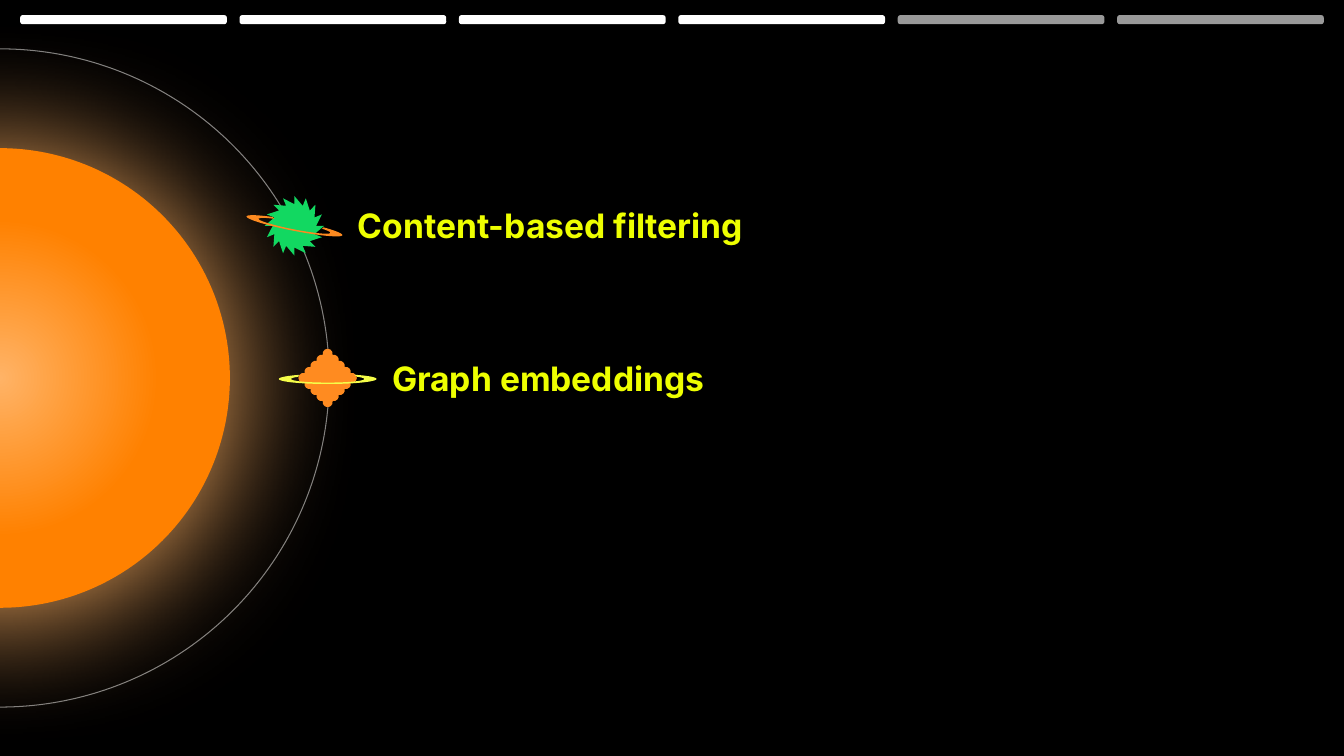
from dataclasses import dataclass
from math import cos, radians, sin, tan

from pptx import Presentation
from pptx.dml.color import RGBColor
from pptx.enum.shapes import MSO_SHAPE
from pptx.enum.text import MSO_ANCHOR, MSO_AUTO_SIZE
from pptx.oxml import parse_xml
from pptx.oxml.ns import nsdecls
from pptx.util import Inches, Pt

OVAL = MSO_SHAPE.OVAL
ROUNDED = MSO_SHAPE.ROUNDED_RECTANGLE
MIDDLE = MSO_ANCHOR.MIDDLE
GROW = MSO_AUTO_SIZE.SHAPE_TO_FIT_TEXT

SLIDE_W, SLIDE_H = 13.33, 7.5
SUN_Y = 3.75
BAR_COUNT, BARS_DONE = 6, 4
BAR_W, BAR_H, BAR_TOP, BAR_MARGIN = 2.05, 0.09, 0.15, 0.2
LABEL_FORMAT = {"size": Pt(24), "name": "Inter", "bold": True}

Point = tuple[float, float]
Segment = list[Point]


@dataclass
class Ring:
    x: float
    y: float
    outer_gap: Point
    inner_gap: Point
    color: str


@dataclass
class Planet:
    outline: list[Segment]
    color: str
    ring: Ring
    tilt: float


@dataclass
class Label:
    text: str
    left: float
    top: float


def rgb(value: str) -> RGBColor:
    return RGBColor.from_string(value)


def arc(x: float, y: float, rx: float, ry: float,
        start: float, end: float, count: int) -> list[Segment]:
    step = radians(end - start) / count
    pull = 4 / 3 * tan(step / 4)
    segments = [[(x + rx * cos(radians(start)), y + ry * sin(radians(start)))]]
    for i in range(count):
        a = radians(start) + i * step
        b = a + step
        segments.append([
            (x + rx * (cos(a) - pull * sin(a)), y + ry * (sin(a) + pull * cos(a))),
            (x + rx * (cos(b) + pull * sin(b)), y + ry * (sin(b) - pull * cos(b))),
            (x + rx * cos(b), y + ry * sin(b))])
    return segments


def spiky_outline(x: float, y: float, tilt: float) -> list[Segment]:
    angles = [radians(-90 - tilt - 22.5 * i) for i in range(16)]
    return [[(x + radius * cos(a), y + radius * sin(a))]
            for a in angles for radius in (0.295, 0.215)]


def scalloped_outline(x: float, y: float) -> list[Segment]:
    step, radius, overlap = 0.06, 0.05, 12.8
    segments = []
    for side in range(4):
        turn = 90 * side
        c, d = cos(radians(turn)), sin(radians(turn))
        for i in range(4):
            dx, dy = i * step, (i - 4) * step
            start = -(90 if i else 180) - overlap
            scallop = arc(x + dx * c - dy * d, y + dx * d + dy * c, radius, radius,
                          turn + start, turn + overlap, 2 if i else 3)
            segments += scallop[1:] if segments else scallop
    return segments


def ring_outline(ring: Ring) -> list[Segment]:
    (out_right, out_left), (in_right, in_left) = ring.outer_gap, ring.inner_gap
    return (arc(ring.x, ring.y, 0.485, 0.05, -out_right, 180 + out_left, 8)
            + arc(ring.x, ring.y, 0.365, 0.036, 180 + in_left, -in_right, 8))


def paint(sp, color: str) -> None:
    sp.shadow.inherit = False
    sp.fill.solid()
    sp.fill.fore_color.rgb = rgb(color)
    sp.line.fill.background()


def add_outline(shapes, segments: list[Segment], color: str, tilt: float) -> None:
    vertices = [(Inches(x), Inches(y)) for segment in segments for x, y in segment]
    builder = shapes.build_freeform(*vertices[0])
    builder.add_line_segments(vertices[1:], close=True)
    sp = builder.convert_to_shape()
    lines = iter(sp._element.findall(".//{*}lnTo"))
    for segment in segments[1:]:
        first, *others = [next(lines) for _ in segment]
        if others:
            curve = parse_xml(f'<a:cubicBezTo {nsdecls("a")}/>')
            first.addprevious(curve)
            for line in (first, *others):
                curve.append(line[0])
                line.getparent().remove(line)
    sp.rotation = tilt
    paint(sp, color)


def add_planet(s, planet: Planet) -> None:
    group = s.shapes.add_group_shape()
    add_outline(group.shapes, planet.outline, planet.color, planet.tilt)
    add_outline(group.shapes, ring_outline(planet.ring), planet.ring.color, planet.tilt)


def add_circle(s, radius: float):
    sp = s.shapes.add_shape(OVAL, Inches(-radius), Inches(SUN_Y - radius),
                            Inches(2 * radius), Inches(2 * radius))
    sp.shadow.inherit = False
    return sp


def add_orbit(s) -> None:
    sp = add_circle(s, 3.265)
    sp.fill.background()
    sp.line.color.rgb = rgb("7F7F7F")
    sp.line.width = Pt(0.75)


def add_sun(s) -> None:
    sp = add_circle(s, 2.28)
    sp.line.fill.background()
    stops = "".join(
        f'<a:gs pos="{pos * 1000}"><a:srgbClr val="{color}"/></a:gs>'
        for pos, color in ((0, "FFB366"), (49, "FF8100"), (100, "FF8100")))
    sp_pr = sp._element.spPr
    sp_pr.insert(2, parse_xml(
        f'<a:gradFill {nsdecls("a")} rotWithShape="1"><a:gsLst>{stops}</a:gsLst>'
        '<a:path path="circle"><a:fillToRect l="50000" t="50000" r="50000" b="50000"/>'
        '</a:path></a:gradFill>'))
    sp_pr.find("{*}effectLst").append(parse_xml(
        f'<a:outerShdw {nsdecls("a")} blurRad="{Pt(100)}" dist="{Pt(4)}" dir="5400000" '
        'algn="ctr" rotWithShape="0"><a:srgbClr val="FFB366"/></a:outerShdw>'))


def add_progress(s) -> None:
    pitch = (SLIDE_W - 2 * BAR_MARGIN - BAR_W) / (BAR_COUNT - 1)
    for i in range(BAR_COUNT):
        sp = s.shapes.add_shape(ROUNDED, Inches(BAR_MARGIN + i * pitch), Inches(BAR_TOP),
                                Inches(BAR_W), Inches(BAR_H))
        sp.adjustments[0] = 0.29
        paint(sp, "FFFFFF")
        if i >= BARS_DONE:
            color = sp._element.spPr.find("{*}solidFill")[0]
            color.append(parse_xml(f'<a:alpha {nsdecls("a")} val="60000"/>'))


def add_label(s, label: Label) -> None:
    box = s.shapes.add_textbox(Inches(label.left), Inches(label.top), Inches(5.98), Inches(0.5))
    tf = box.text_frame
    tf.word_wrap = True
    tf.auto_size = GROW
    tf.vertical_anchor = MIDDLE
    r = tf.paragraphs[0].add_run()
    r.text = label.text
    for name, value in LABEL_FORMAT.items():
        setattr(r.font, name, value)
    r.font.color.rgb = rgb("EEFF00")


PLANETS = [
    Planet(scalloped_outline(3.25, 3.75), "FF8B20",
           Ring(3.25, 3.76, (57, 54), (37, 37), "F5FD49"), 0),
    Planet(spiky_outline(2.92, 2.24, 11.1), "12D861",
           Ring(2.92, 2.24, (54, 62), (41, 55), "FD8A20"), 11.1),
]
LABELS = [
    Label("Content-based filtering", 3.45, 1.98),
    Label("Graph embeddings", 3.79, 3.5),
]


def main() -> None:
    prs = Presentation()
    prs.slide_width, prs.slide_height = Inches(SLIDE_W), Inches(SLIDE_H)
    s = prs.slides.add_slide(prs.slide_layouts[6])
    s.background.fill.solid()
    s.background.fill.fore_color.rgb = rgb("000000")
    add_orbit(s)
    add_sun(s)
    for planet in PLANETS:
        add_planet(s, planet)
    add_progress(s)
    for label in LABELS:
        add_label(s, label)
    prs.save("out.pptx")


if __name__ == "__main__":
    main()
